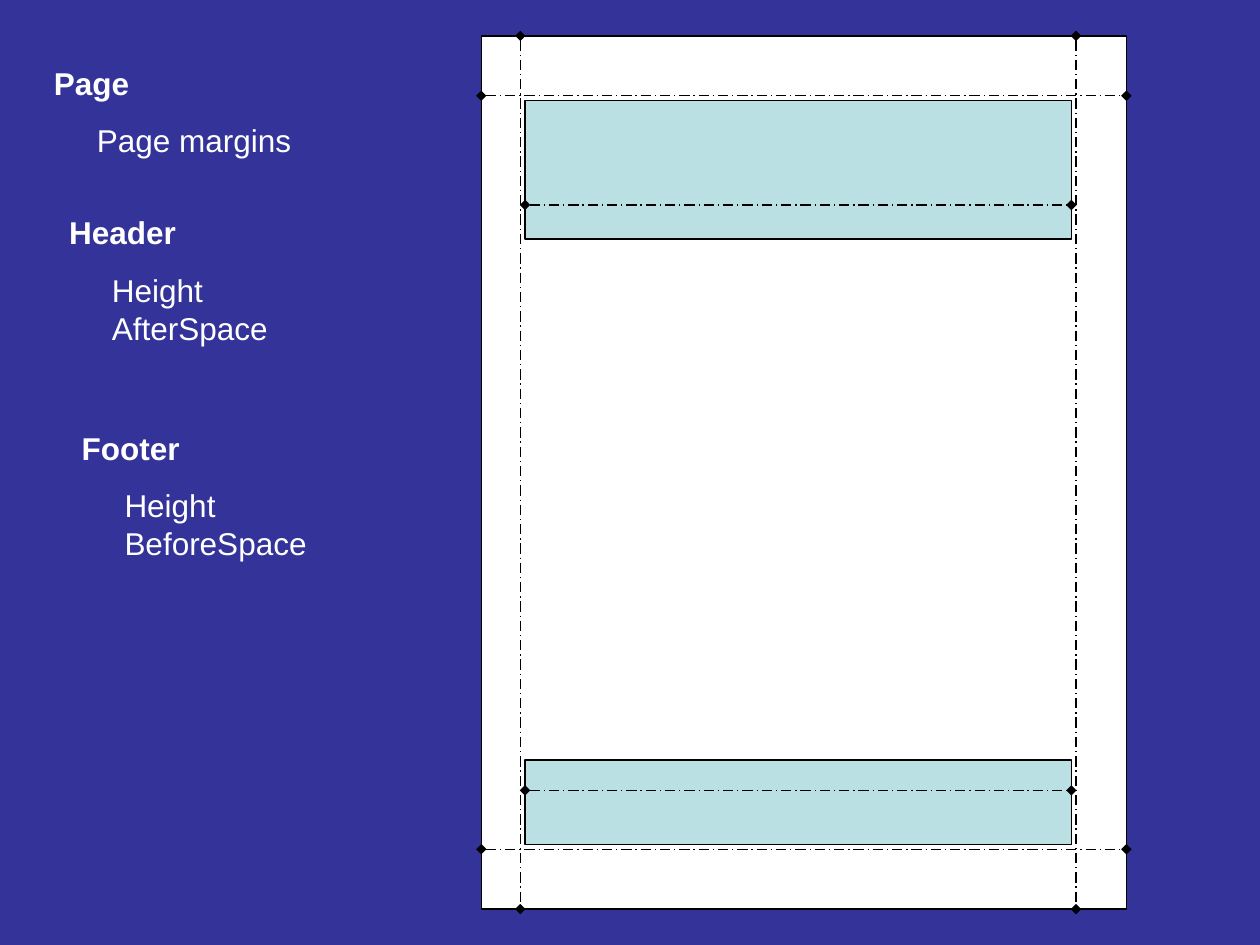
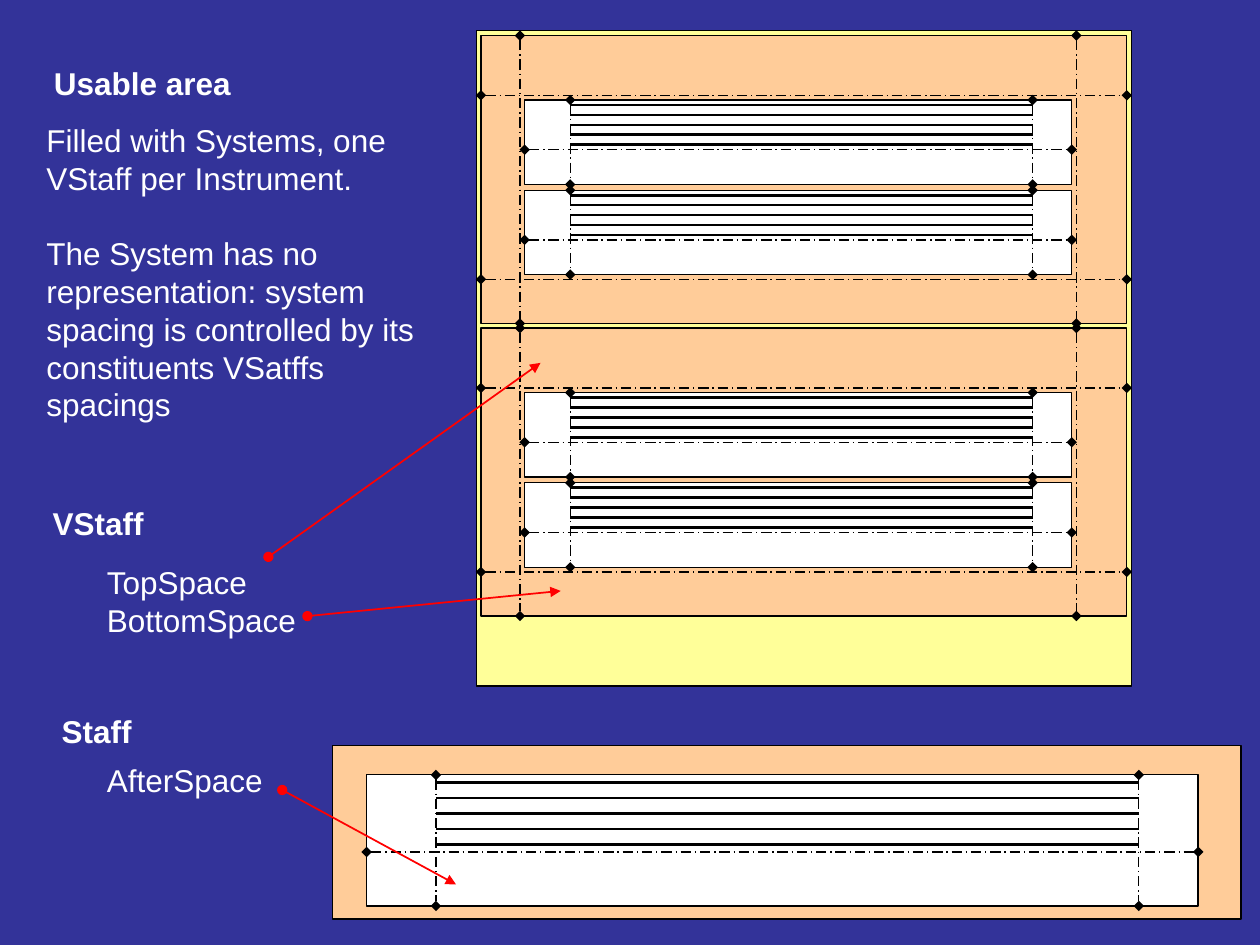
import collections

import lxml.etree
import pptx
import pptx.dml.color
import pptx.enum.dml
import pptx.enum.shapes
import pptx.enum.text
import pptx.oxml.ns
import pptx.util

COLOURS = {
    "backdrop": "333399",
    "text": "FFFFFF",
    "paper": "FFFFFF",
    "ink": "000000",
    "band": "BBE0E3",
    "usable": "FFFF99",
    "vstaff": "FFCC99",
    "pointer": "FF0000",
}
Box = collections.namedtuple("Box", "left top width height")

SLIDE_WIDTH = pptx.util.Inches(10)
SLIDE_HEIGHT = pptx.util.Inches(7.5)
COLUMN = SLIDE_WIDTH / 100
ROW = SLIDE_HEIGHT / 75

FONT = {"name": "Arial", "size": pptx.util.Pt(18)}
FRAME = {
    "auto_size": pptx.enum.text.MSO_AUTO_SIZE.NONE,
    "vertical_anchor": pptx.enum.text.MSO_ANCHOR.TOP,
}
LINE_HEIGHT = pptx.util.Pt(21.6)

STROKES = {
    "guide": {"colour": "ink", "width": 0.75, "ends": ("diamond", "diamond"),
              "dash": pptx.enum.dml.MSO_LINE.LONG_DASH_DOT},
    "stave": {"colour": "ink", "width": 1.5, "ends": (), "dash": None},
    "pointer": {"colour": "pointer", "width": 1, "ends": ("oval", "triangle"), "dash": None},
}

GAP = 0.37
MARGIN_LEFT, MARGIN_RIGHT, MARGIN_TOP = 3.1, 4, 4.75
PAGE_MARGIN_BOTTOM = 4.75
VSTAFF_MARGIN_BOTTOM = 3.5
STAFF_HEIGHT = 6.7


def rgb(key):
    return pptx.dml.color.RGBColor.from_string(COLOURS[key])


def place(box):
    return (round(box.left * COLUMN), round(box.top * ROW),
            round(box.width * COLUMN), round(box.height * ROW))


def draw_area(shapes, box, colour):
    area = shapes.add_shape(pptx.enum.shapes.MSO_SHAPE.RECTANGLE, *place(box))
    area.shadow.inherit = False
    area.fill.solid()
    area.fill.fore_color.rgb = rgb(colour)
    area.line.color.rgb = rgb("ink")
    area.line.width = pptx.util.Pt(0.75)


def draw_line(shapes, start, end, style):
    stroke = STROKES[style]
    ends = [round(value * unit) for point in (start, end)
            for value, unit in zip(point, (COLUMN, ROW))]
    line = shapes.add_connector(pptx.enum.shapes.MSO_CONNECTOR.STRAIGHT, *ends)
    line.line.color.rgb = rgb(stroke["colour"])
    line.line.width = pptx.util.Pt(stroke["width"])
    if stroke["dash"]:
        line.line.dash_style = stroke["dash"]
    properties = line._element.spPr
    outline = properties.find(pptx.oxml.ns.qn("a:ln"))
    for tag, kind in zip(("a:headEnd", "a:tailEnd"), stroke["ends"]):
        lxml.etree.SubElement(outline, pptx.oxml.ns.qn(tag)).set("type", kind)
    lxml.etree.SubElement(properties, pptx.oxml.ns.qn("a:effectLst"))


def draw_across(shapes, box, offset, style="guide"):
    height = box.top + offset
    draw_line(shapes, (box.left, height), (box.left + box.width, height), style)


def draw_down(shapes, box, offset):
    column = box.left + offset
    draw_line(shapes, (column, box.top), (column, box.top + box.height), "guide")


def draw_margins(shapes, box, bottom):
    for offset in (MARGIN_TOP, box.height - bottom):
        draw_across(shapes, box, offset)
    for offset in (MARGIN_LEFT, box.width - MARGIN_RIGHT):
        draw_down(shapes, box, offset)
    return Box(box.left + MARGIN_LEFT + GAP, box.top + MARGIN_TOP + GAP,
               box.width - MARGIN_LEFT - MARGIN_RIGHT - 2 * GAP,
               box.height - MARGIN_TOP - bottom - 2 * GAP)


def draw_page(shapes, box):
    draw_area(shapes, box, "paper")
    body = draw_margins(shapes, box, PAGE_MARGIN_BOTTOM)
    header = body._replace(height=11)
    footer = body._replace(top=body.top + body.height - STAFF_HEIGHT, height=STAFF_HEIGHT)
    for band, offset in ((header, 8.3), (footer, 2.4)):
        draw_area(shapes, band, "band")
        draw_across(shapes, band, offset)


def draw_staff(shapes, box):
    draw_area(shapes, box, "paper")
    step = box.height / 17
    first, last = box.width / 12, box.width * 13 / 14
    draw_across(shapes, box, 10 * step)
    for offset in (first, last):
        draw_down(shapes, box, offset)
    stave = box._replace(left=box.left + first, width=last - first)
    for position in range(1, 10, 2):
        draw_across(shapes, stave, position * step, "stave")


def draw_vstaff(shapes, box):
    draw_area(shapes, box, "vstaff")
    body = draw_margins(shapes, box, VSTAFF_MARGIN_BOTTOM)
    pitch = body.height - STAFF_HEIGHT
    for index in range(2):
        draw_staff(shapes, body._replace(top=body.top + index * pitch, height=STAFF_HEIGHT))


def draw_usable_area(shapes, box):
    draw_area(shapes, box, "usable")
    system = Box(box.left + GAP, box.top + GAP, box.width - 2 * GAP, 22.85)
    pitch = system.height + GAP
    for index in range(2):
        vstaff = shapes.add_group_shape().shapes
        draw_vstaff(vstaff, system._replace(top=system.top + index * pitch))


def draw_staff_detail(shapes, box):
    draw_area(shapes, box, "vstaff")
    staff = shapes.add_group_shape().shapes
    draw_staff(staff, Box(box.left + 2.7, box.top + 2.35, box.width - 6.1, box.height - 3.4))


def write_notes(shapes, box, notes):
    for left, top, width, lines, bold in notes:
        spot = Box(box.left + left, box.top + top, width, 1 + 3 * len(lines))
        frame = shapes.add_textbox(*place(spot)).text_frame
        for name, value in FRAME.items():
            setattr(frame, name, value)
        frame.word_wrap = width > 20
        for index, line in enumerate(lines):
            paragraph = frame.add_paragraph() if index else frame.paragraphs[0]
            paragraph.line_spacing = LINE_HEIGHT
            paragraph.text = line
            for name, value in {**FONT, "bold": bold}.items():
                setattr(paragraph.font, name, value)
            paragraph.font.color.rgb = rgb("text")
    return frame


def add_slide(deck):
    slide = deck.slides.add_slide(deck.slide_layouts[6])
    slide.background.fill.solid()
    slide.background.fill.fore_color.rgb = rgb("backdrop")
    return slide.shapes


def build_page_slide(deck, sidebar):
    shapes = add_slide(deck)
    draw_page(shapes, Box(38.2, 2.85, 51.2, 69.3))
    write_notes(shapes, sidebar, [
        (0.6, 0, 8, ["Page"], True),
        (4, 4.5, 17.4, ["Page margins"], False),
        (1.8, 11.8, 10.5, ["Header"], True),
        (5.2, 16.4, 14.3, ["Height", "AfterSpace"], False),
        (2.8, 29, 9.8, ["Footer"], True),
        (6.2, 33.5, 16.4, ["Height", "BeforeSpace"], False),
    ])


def build_staff_slide(deck, sidebar):
    shapes = add_slide(deck)
    draw_staff_detail(shapes, Box(26.4, 59.15, 72.1, 13.8))
    draw_usable_area(shapes, Box(37.8, 2.45, 52, 52))
    write_notes(shapes, sidebar, [
        (0.6, 0, 16, ["Usable area"], True),
        (0.5, 34.9, 9.2, ["VStaff"], True),
        (4.8, 39.6, 21.6, ["TopSpace", "BottomSpace"], False),
        (1.2, 51.4, 7.5, ["Staff"], True),
        (4.8, 55.3, 21.6, ["AfterSpace"], False),
    ])
    systems = write_notes(shapes, sidebar, [(0, 4.5, 31.9, [
        "Filled with Systems, one VStaff per Instrument.",
        "The System has no representation: system spacing is controlled by its "
        "constituents VSatffs spacings",
    ], False)])
    systems.paragraphs[1].space_before = LINE_HEIGHT
    for start, end in (((21.3, 44.2), (42.9, 28.8)),
                       ((24.4, 48.9), (44.5, 46.9)),
                       ((22.4, 62.7), (36.2, 70.2))):
        draw_line(shapes, start, end, "pointer")


def main():
    deck = pptx.Presentation()
    deck.slide_width, deck.slide_height = SLIDE_WIDTH, SLIDE_HEIGHT
    sidebar = Box(2.7, 4.6, 32, 60)
    build_page_slide(deck, sidebar)
    build_staff_slide(deck, sidebar)
    deck.save("out.pptx")


if __name__ == "__main__":
    main()
